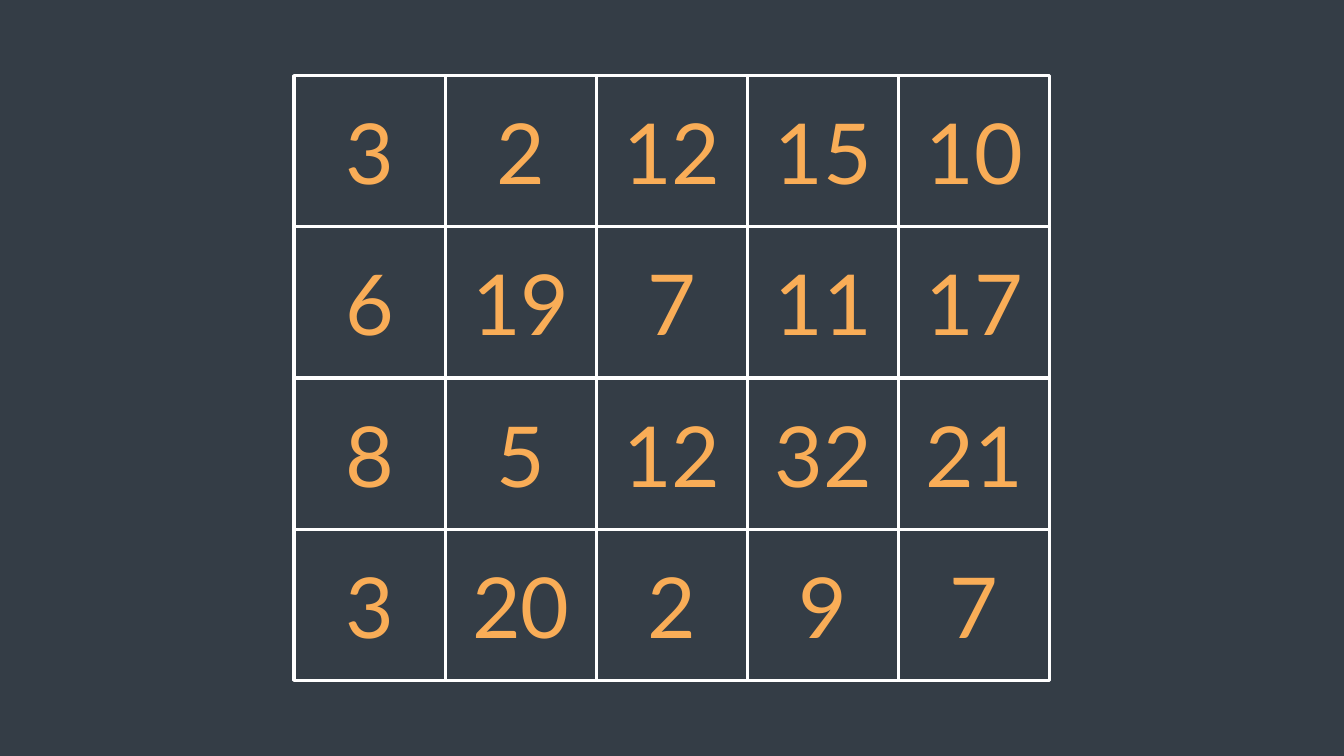
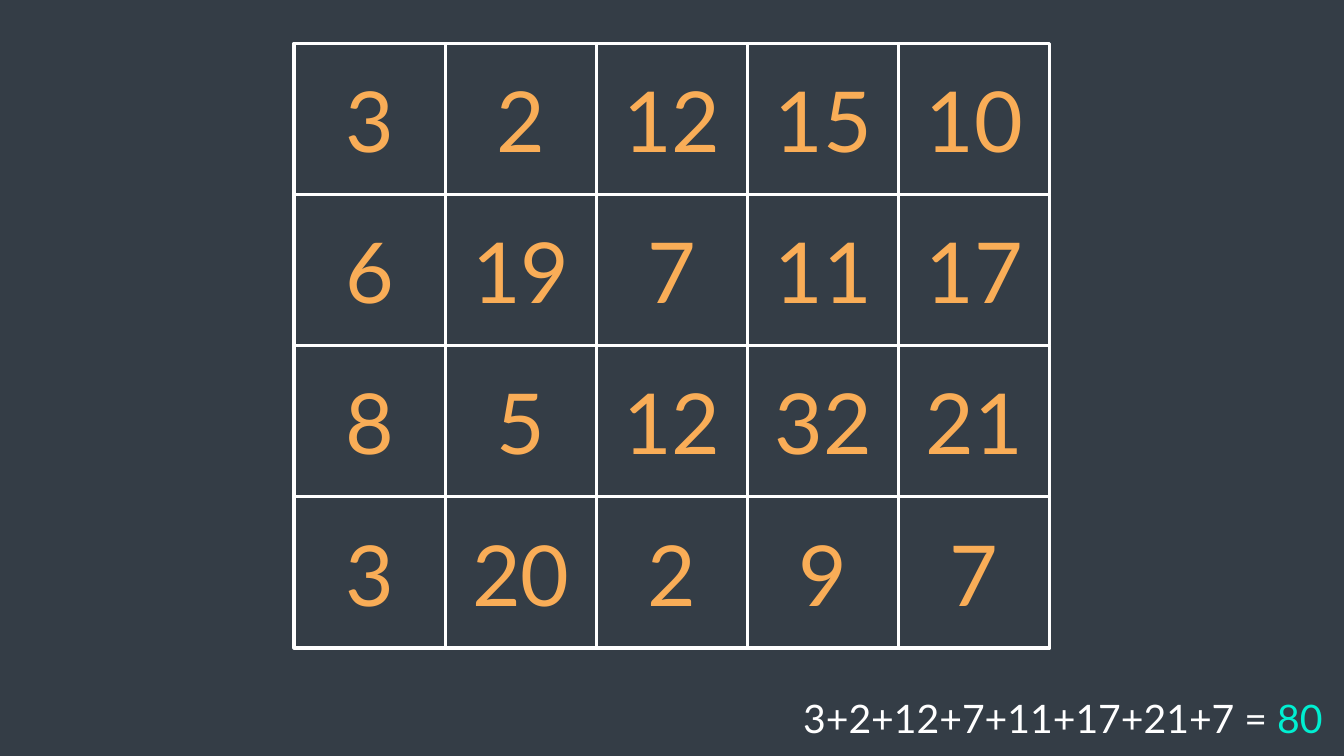
from dataclasses import dataclass

from pptx import Presentation
from pptx.dml.color import RGBColor
from pptx.enum.shapes import MSO_SHAPE
from pptx.enum.text import MSO_ANCHOR, MSO_AUTO_SIZE, PP_ALIGN
from pptx.util import Cm, Pt

SLIDE_WIDTH, SLIDE_HEIGHT = 33.87, 19.05
CELL_SIZE = 3.81
RAISED_TOP = 1.09
NUMBERS = [
    [3, 2, 12, 15, 10],
    [6, 19, 7, 11, 17],
    [8, 5, 12, 32, 21],
    [3, 20, 2, 9, 7],
]
PATH_NUMBERS = [3, 2, 12, 7, 11, 17, 21, 7]


@dataclass(frozen=True)
class Theme:
    background: RGBColor = RGBColor.from_string("343D46")
    outline: RGBColor = RGBColor.from_string("FFFFFF")
    number: RGBColor = RGBColor.from_string("F9AD57")
    text: RGBColor = RGBColor.from_string("FFFFFF")
    total: RGBColor = RGBColor.from_string("00EFD1")
    font: str = "Lato"
    number_size: Pt = Pt(60)
    sum_size: Pt = Pt(28)
    outline_width: Pt = Pt(2.25)


class GridDeck:
    """Builds number-grid slides in one shared style."""

    def __init__(self, presentation, theme):
        self.presentation = presentation
        self.theme = theme
        self.slide = None

    def add_slide(self):
        self.slide = self.presentation.slides.add_slide(self.presentation.slide_layouts[6])
        fill = self.slide.background.fill
        fill.solid()
        fill.fore_color.rgb = self.theme.background

    def style_paragraph(self, paragraph, size, color, alignment):
        paragraph.alignment = alignment
        paragraph.font.name = self.theme.font
        paragraph.font.size = size
        paragraph.font.color.rgb = color

    def add_cell(self, left, top, number):
        shape = self.slide.shapes.add_shape(
            MSO_SHAPE.RECTANGLE, Cm(left), Cm(top), Cm(CELL_SIZE), Cm(CELL_SIZE)
        )
        shape.shadow.inherit = False
        shape.fill.solid()
        shape.fill.fore_color.rgb = self.theme.background
        shape.line.color.rgb = self.theme.outline
        shape.line.width = self.theme.outline_width
        frame = shape.text_frame
        frame.vertical_anchor = MSO_ANCHOR.MIDDLE
        paragraph = frame.paragraphs[0]
        self.style_paragraph(paragraph, self.theme.number_size, self.theme.number, PP_ALIGN.CENTER)
        paragraph.add_run().text = str(number)

    def add_grid(self, rows, top):
        left = (SLIDE_WIDTH - len(rows[0]) * CELL_SIZE) / 2
        for row_index, row in enumerate(rows):
            for column_index, number in enumerate(row):
                self.add_cell(
                    left + column_index * CELL_SIZE, top + row_index * CELL_SIZE, number
                )

    def add_sum(self, numbers):
        box = self.slide.shapes.add_textbox(Cm(17.5), Cm(17.37), Cm(16.08), Cm(1.45))
        frame = box.text_frame
        frame.word_wrap = True
        frame.auto_size = MSO_AUTO_SIZE.SHAPE_TO_FIT_TEXT
        paragraph = frame.paragraphs[0]
        self.style_paragraph(paragraph, self.theme.sum_size, self.theme.text, PP_ALIGN.RIGHT)
        paragraph.add_run().text = "+".join(map(str, numbers)) + " = "
        total = paragraph.add_run()
        total.text = str(sum(numbers))
        total.font.color.rgb = self.theme.total


def main():
    presentation = Presentation()
    presentation.slide_width = Cm(SLIDE_WIDTH)
    presentation.slide_height = Cm(SLIDE_HEIGHT)
    deck = GridDeck(presentation, Theme())

    deck.add_slide()
    deck.add_grid(NUMBERS, (SLIDE_HEIGHT - len(NUMBERS) * CELL_SIZE) / 2)

    deck.add_slide()
    deck.add_grid(NUMBERS, RAISED_TOP)
    deck.add_sum(PATH_NUMBERS)

    presentation.save("out.pptx")


if __name__ == "__main__":
    main()
